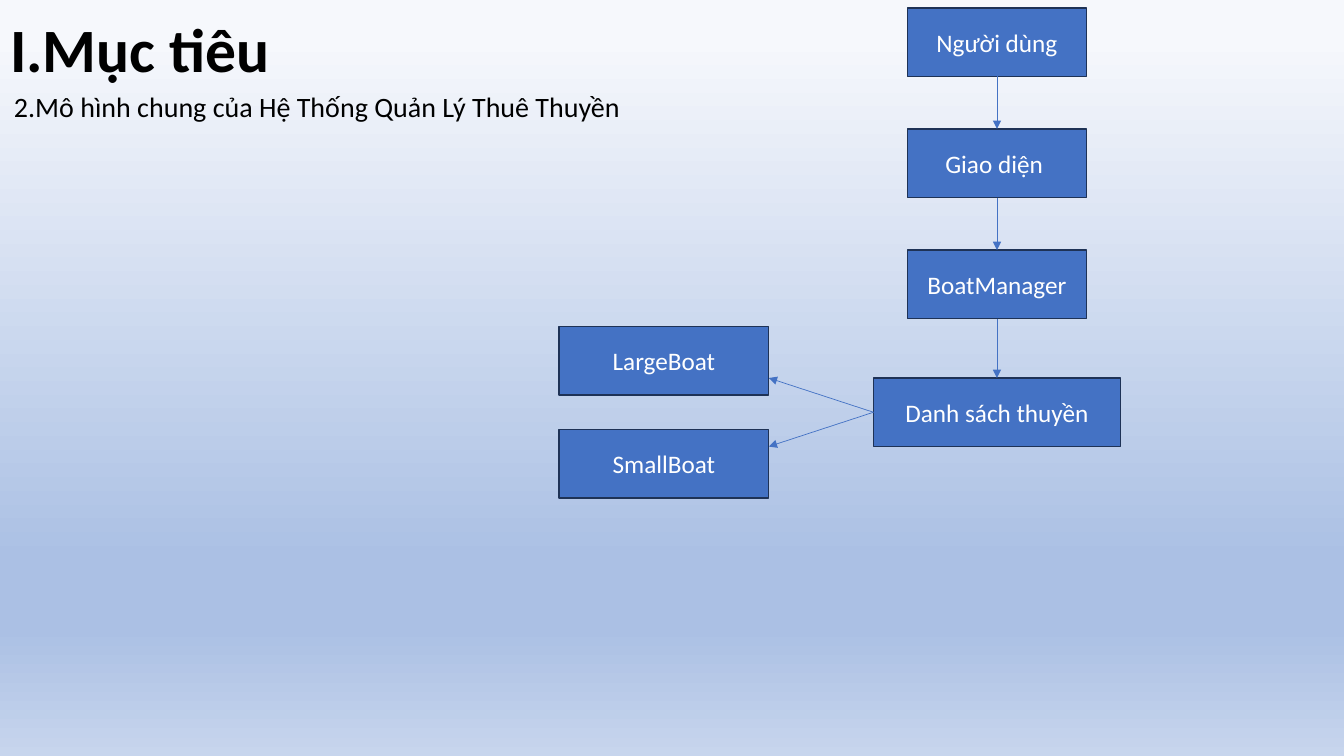
"""Build the slide that shows the general model of the boat rental system."""
from dataclasses import dataclass
from typing import Any, Optional

from lxml import etree
from pptx import Presentation
from pptx import util as u
from pptx.dml.color import RGBColor
from pptx.enum import shapes, text
from pptx.oxml import ns

WIDTH, HEIGHT = u.Inches(13.33), u.Inches(7.5)
BLUE, NAVY, WHITE, BLACK = "4472C4", "1E3256", "FFFFFF", "000000"
BACKGROUND_STOPS = ((5, "F6F8FC"), (74, "ABC0E4"), (83, "ABC0E4"), (100, "C7D5ED"))
BOX_ROWS = 9.07
CENTRE_COLUMN = 74.18
TOP_ROW, STEP_ROWS = 1.04, 16.02
LIST_ROW = 50
BRANCH_ROWS = 6.8
TOP, LEFT, BOTTOM = 0, 1, 2


@dataclass(frozen=True)
class Box:
    """A labelled rectangle placed on a grid of 100 columns and 100 rows."""

    label: str
    column: float
    row: float
    columns: float


def across(columns: float) -> u.Emu:
    """Return the length of a number of grid columns."""
    return u.Emu(round(WIDTH * columns / 100))


def down(rows: float) -> u.Emu:
    """Return the length of a number of grid rows."""
    return u.Emu(round(HEIGHT * rows / 100))


def colour(value: str) -> RGBColor:
    """Return the colour of a hex string."""
    return RGBColor.from_string(value)


def write(shape: Any, words: str, *, size: float, ink: str, bold: bool = False,
          align: Any = text.PP_ALIGN.LEFT, anchor: Any = text.MSO_ANCHOR.MIDDLE,
          spacing: float = 1.0) -> None:
    """Put one formatted paragraph into a shape."""
    frame = shape.text_frame
    frame.word_wrap = True
    frame.auto_size = text.MSO_AUTO_SIZE.NONE
    frame.vertical_anchor = anchor
    paragraph = frame.paragraphs[0]
    paragraph.alignment = align
    paragraph.line_spacing = spacing
    run = paragraph.add_run()
    run.text = words
    run.font.name = "Calibri"
    run.font.size = u.Pt(size)
    run.font.bold = bold
    run.font.color.rgb = colour(ink)


def paint_background(slide: Any) -> None:
    """Fill the slide with a vertical gradient."""
    fill = slide.background.fill
    fill.gradient()
    fill.gradient_angle = 270
    stops = slide.element.find(".//" + ns.qn("a:gsLst"))
    for stop in list(stops):
        stops.remove(stop)
    for percent, value in BACKGROUND_STOPS:
        stop = etree.SubElement(stops, ns.qn("a:gs"), pos=str(percent * 1000))
        etree.SubElement(stop, ns.qn("a:srgbClr"), val=value)


def add_box(slide: Any, box: Box) -> Any:
    """Draw a box with its label."""
    shape = slide.shapes.add_shape(
        shapes.MSO_SHAPE.RECTANGLE, across(box.column), down(box.row),
        across(box.columns), down(BOX_ROWS))
    shape.shadow.inherit = False
    shape.fill.solid()
    shape.fill.fore_color.rgb = colour(BLUE)
    shape.line.color.rgb = colour(NAVY)
    shape.line.width = u.Pt(1)
    write(shape, box.label, size=18, ink=WHITE, align=text.PP_ALIGN.CENTER)
    return shape


def add_arrow(slide: Any, source: Any, side: int, column: float, row: float,
              target: Optional[Any] = None) -> None:
    """Draw an arrow from a box side to a grid point or to the top of a box."""
    arrow = slide.shapes.add_connector(
        shapes.MSO_CONNECTOR.STRAIGHT, source.left, source.top,
        across(column), down(row))
    arrow.begin_connect(source, side)
    if target is not None:
        arrow.end_connect(target, TOP)
    arrow.line.color.rgb = colour(BLUE)
    arrow.line.width = u.Pt(0.5)
    line = arrow.line._get_or_add_ln()
    etree.SubElement(line, ns.qn("a:tailEnd"), type="triangle")
    etree.SubElement(arrow.element.spPr, ns.qn("a:effectLst"))


def add_headings(slide: Any) -> None:
    """Write the title and the line below it."""
    title = slide.shapes.title
    title.left, title.top = across(0), down(0)
    title.width, title.height = across(51.6), down(13.87)
    write(title, "I.Mục tiêu", size=44, ink=BLACK, bold=True, spacing=0.9)
    subtitle = slide.shapes.add_textbox(
        across(0.3), down(11.2), across(51), down(5.87))
    write(subtitle, "2.Mô hình chung của Hệ Thống Quản Lý Thuê Thuyền",
          size=20, ink=BLACK, anchor=text.MSO_ANCHOR.TOP)


def add_model(slide: Any) -> None:
    """Draw the chain of boxes and the two kinds of boat."""
    labels = ("Người dùng", "Giao diện ", "BoatManager")
    chain = [Box(label, CENTRE_COLUMN - 13.35 / 2, TOP_ROW + index * STEP_ROWS, 13.35)
             for index, label in enumerate(labels)]
    chain.append(Box("Danh sách thuyền", CENTRE_COLUMN - 18.38 / 2, LIST_ROW, 18.38))
    drawn = [add_box(slide, box) for box in chain]
    for source, target, box in zip(drawn, drawn[1:], chain[1:]):
        add_arrow(slide, source, BOTTOM, CENTRE_COLUMN, box.row, target)

    boats = (Box("LargeBoat", 41.6, LIST_ROW - BRANCH_ROWS, 15.6),
             Box("SmallBoat", 41.6, LIST_ROW + BRANCH_ROWS, 15.6))
    for boat, row in zip(boats, (LIST_ROW, LIST_ROW + BOX_ROWS)):
        add_arrow(slide, drawn[-1], LEFT, boat.column + boat.columns, row)
        add_box(slide, boat)


def main() -> None:
    """Build and save the presentation."""
    presentation = Presentation()
    presentation.slide_width, presentation.slide_height = WIDTH, HEIGHT
    slide = presentation.slides.add_slide(presentation.slide_layouts[5])
    paint_background(slide)
    add_headings(slide)
    add_model(slide)
    presentation.save("out.pptx")


if __name__ == "__main__":
    main()
